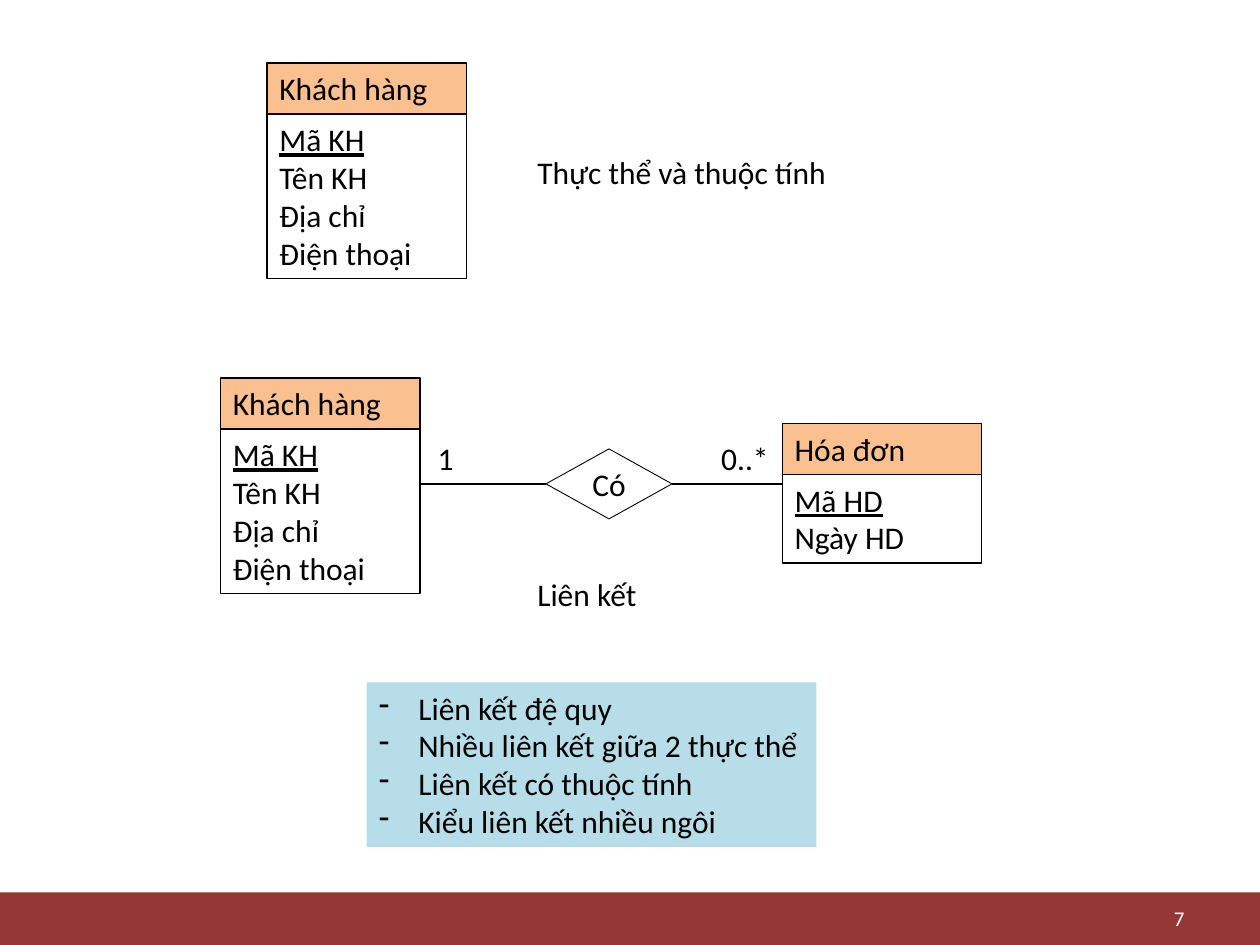
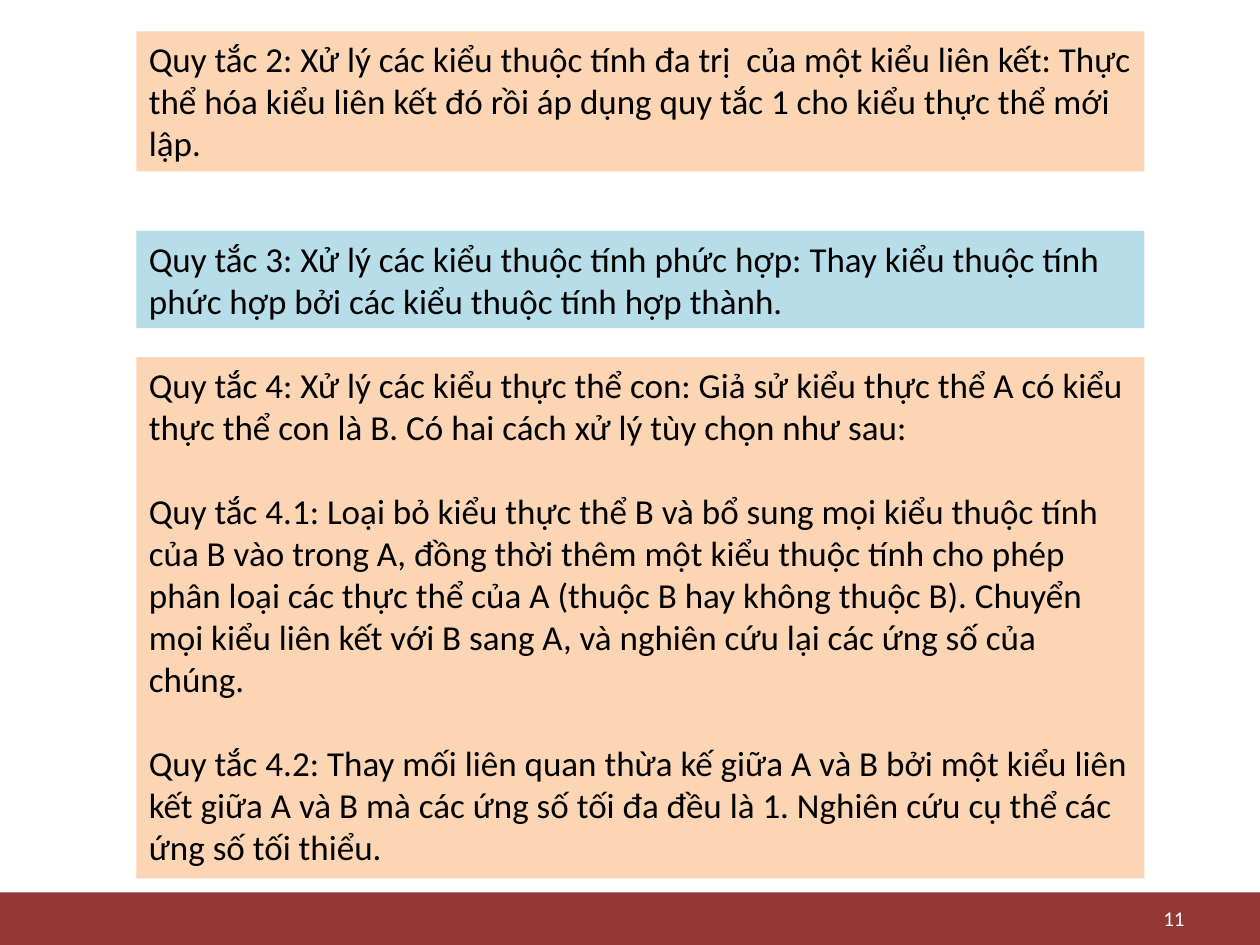
import dataclasses
from typing import Optional

import lxml.etree
import pptx
import pptx.dml.color
import pptx.enum.shapes
import pptx.enum.text
import pptx.oxml.ns
import pptx.slide
import pptx.util

Pt = pptx.util.Pt
Kind = pptx.enum.shapes.MSO_SHAPE
Align = pptx.enum.text.PP_ALIGN
Anchor = pptx.enum.text.MSO_ANCHOR
Fit = pptx.enum.text.MSO_AUTO_SIZE
qn = pptx.oxml.ns.qn


@dataclasses.dataclass(frozen=True)
class Theme:
    font: str = "Calibri"
    ink: str = "000000"
    white: str = "FFFFFF"
    band: str = "953735"
    head: str = "FAC090"
    peach: str = "FCD5B5"
    blue: str = "B7DEE8"
    body: float = 18
    rule: float = 20
    small: float = 12
    thin: float = 0.5
    edge: float = 0.75


THEME = Theme()
WIDTH, HEIGHT = 720, 540
ROW, PAD = 21.6, 7.5  # line height of body text and the space around it


def tall(rows: int) -> float:
    """Height of a box that holds this many lines of body text."""
    return rows * ROW + PAD


@dataclasses.dataclass(frozen=True)
class Box:
    left: float
    top: float
    width: float
    height: float
    lines: tuple[str, ...] = ()
    fill: Optional[str] = None
    edge: float = 0
    size: float = THEME.body
    color: str = THEME.ink
    kind: Kind = Kind.RECTANGLE
    align: Align = Align.LEFT
    anchor: Anchor = Anchor.TOP
    wrap: bool = True
    grow: bool = True
    gap: float = 0
    key: bool = False  # underline the first line
    dash: bool = False  # dash bullets


@dataclasses.dataclass(frozen=True)
class Entity:
    name: str
    left: float
    top: float
    fields: tuple[str, ...]
    width: float = 114


def rgb(code: str) -> pptx.dml.color.RGBColor:
    return pptx.dml.color.RGBColor.from_string(code)


def assign(target: object, values: dict) -> None:
    for name, value in values.items():
        setattr(target, name, value)


def add_dash(para) -> None:
    props = para._p.get_or_add_pPr()
    props.set("marL", str(Pt(22.5)))
    props.set("indent", str(-Pt(22.5)))
    lxml.etree.SubElement(props, qn("a:buChar")).set("char", "-")


def draw_box(slide: pptx.slide.Slide, box: Box):
    shape = slide.shapes.add_shape(
        box.kind, Pt(box.left), Pt(box.top), Pt(box.width), Pt(box.height))
    shape.shadow.inherit = False
    if box.fill:
        shape.fill.solid()
        shape.fill.fore_color.rgb = rgb(box.fill)
    else:
        shape.fill.background()
    if box.edge:
        shape.line.color.rgb = rgb(THEME.ink)
        shape.line.width = Pt(box.edge)
    else:
        shape.line.fill.background()
    frame = shape.text_frame
    assign(frame, {
        "word_wrap": box.wrap,
        "vertical_anchor": box.anchor,
        "auto_size": Fit.SHAPE_TO_FIT_TEXT if box.grow else Fit.NONE,
    })
    for i, line in enumerate(box.lines):
        para = frame.add_paragraph() if i else frame.paragraphs[0]
        assign(para, {"alignment": box.align,
                      "space_before": Pt(box.gap if i else 0)})
        if box.dash:
            add_dash(para)
        run = para.add_run()
        run.text = line
        assign(run.font, {"name": THEME.font, "size": Pt(box.size),
                          "underline": box.key and i == 0})
        run.font.color.rgb = rgb(box.color)
    return shape


def draw_label(slide: pptx.slide.Slide, text: str,
               left: float, top: float, width: float) -> None:
    draw_box(slide, Box(left, top, width, tall(1), (text,), wrap=False))


def draw_entity(slide: pptx.slide.Slide, item: Entity) -> None:
    head = Box(item.left, item.top, item.width, tall(1), (item.name,),
               THEME.head, THEME.edge)
    body = Box(item.left, item.top + tall(1), item.width,
               tall(len(item.fields)), item.fields, edge=THEME.edge, key=True)
    for box in (head, body):
        draw_box(slide, box)


def draw_link(slide: pptx.slide.Slide, shape, site: int,
              left: float, y: float) -> None:
    """Line from a side of the shape to a point on an entity."""
    line = slide.shapes.add_connector(
        pptx.enum.shapes.MSO_CONNECTOR.STRAIGHT,
        Pt(left), Pt(y), Pt(left), Pt(y))
    line.end_connect(shape, site)
    line.line.color.rgb = rgb(THEME.ink)
    line.line.width = Pt(THEME.edge)
    lxml.etree.SubElement(line._element.spPr, qn("a:effectLst"))


def add_page(deck, number: int) -> pptx.slide.Slide:
    """Blank slide with the footer band and its number."""
    slide = deck.slides.add_slide(deck.slide_layouts[6])
    draw_box(slide, Box(0, 510, WIDTH, 30, fill=THEME.band, grow=False))
    draw_box(slide, Box(516, 515, 168, 19.5, (str(number),), size=THEME.small,
                        color=THEME.white, align=Align.RIGHT,
                        anchor=Anchor.MIDDLE, grow=False))
    return slide


def build_model(deck) -> None:
    slide = add_page(deck, 7)
    fields = ("Mã KH", "Tên KH", "Địa chỉ", "Điện thoại")

    # Entities
    client = Entity("Khách hàng", 126, 216, fields)
    bill = Entity("Hóa đơn", 447, 242, ("Mã HD", "Ngày HD"))
    for item in (Entity("Khách hàng", 152.6, 36, fields), client, bill):
        draw_entity(slide, item)

    # Relationship and its links
    mid = 276.5
    has = draw_box(slide, Box(
        312, mid - 20, 72, 40, ("Có",), edge=THEME.thin,
        kind=Kind.FLOWCHART_DECISION, align=Align.CENTER,
        anchor=Anchor.MIDDLE, wrap=False, grow=False))
    draw_link(slide, has, 1, client.left + client.width, mid)
    draw_link(slide, has, 3, bill.left, mid)

    # Labels
    for text, left, top, width in (
            ("Thực thể và thuộc tính", 300, 84, 181.5),
            ("1", 243, 247.5, 24),
            ("0..*", 405, 247.5, 42),
            ("Liên kết", 300, 325, 72)):
        draw_label(slide, text, left, top, width)

    # Kinds of relationship
    kinds = ("Liên kết đệ quy", "Nhiều liên kết giữa 2 thực thể",
             "Liên kết có thuộc tính", "Kiểu liên kết nhiều ngôi")
    draw_box(slide, Box(209.5, 390, 257, tall(len(kinds)), kinds, THEME.blue,
                        wrap=False, dash=True))


def build_rules(deck) -> None:
    slide = add_page(deck, 11)
    for top, height, fill, lines in (
        (18, 80, THEME.peach, (
            "Quy tắc 2: Xử lý các kiểu thuộc tính đa trị  của một kiểu liên "
            "kết: Thực thể hóa kiểu liên kết đó rồi áp dụng quy tắc 1 cho "
            "kiểu thực thể mới lập.",)),
        (132, 55.5, THEME.blue, (
            "Quy tắc 3: Xử lý các kiểu thuộc tính phức hợp: Thay kiểu thuộc "
            "tính phức hợp bởi các kiểu thuộc tính hợp thành.",)),
        (204, 298, THEME.peach, (
            "Quy tắc 4: Xử lý các kiểu thực thể con: Giả sử kiểu thực thể A "
            "có kiểu thực thể con là B. Có hai cách xử lý tùy chọn như sau:",
            "Quy tắc 4.1: Loại bỏ kiểu thực thể B và bổ sung mọi kiểu thuộc "
            "tính của B vào trong A, đồng thời thêm một kiểu thuộc tính cho "
            "phép phân loại các thực thể của A (thuộc B hay không thuộc B). "
            "Chuyển mọi kiểu liên kết với B sang A, và nghiên cứu lại các "
            "ứng số của chúng.",
            "Quy tắc 4.2: Thay mối liên quan thừa kế giữa A và B bởi một "
            "kiểu liên kết giữa A và B mà các ứng số tối đa đều là 1. "
            "Nghiên cứu cụ thể các ứng số tối thiểu.")),
    ):
        draw_box(slide, Box(78, top, 576, height, lines, fill,
                            size=THEME.rule, gap=24))


def main() -> None:
    deck = pptx.Presentation()
    assign(deck, {"slide_width": Pt(WIDTH), "slide_height": Pt(HEIGHT)})
    build_model(deck)
    build_rules(deck)
    deck.save("out.pptx")


if __name__ == "__main__":
    main()
